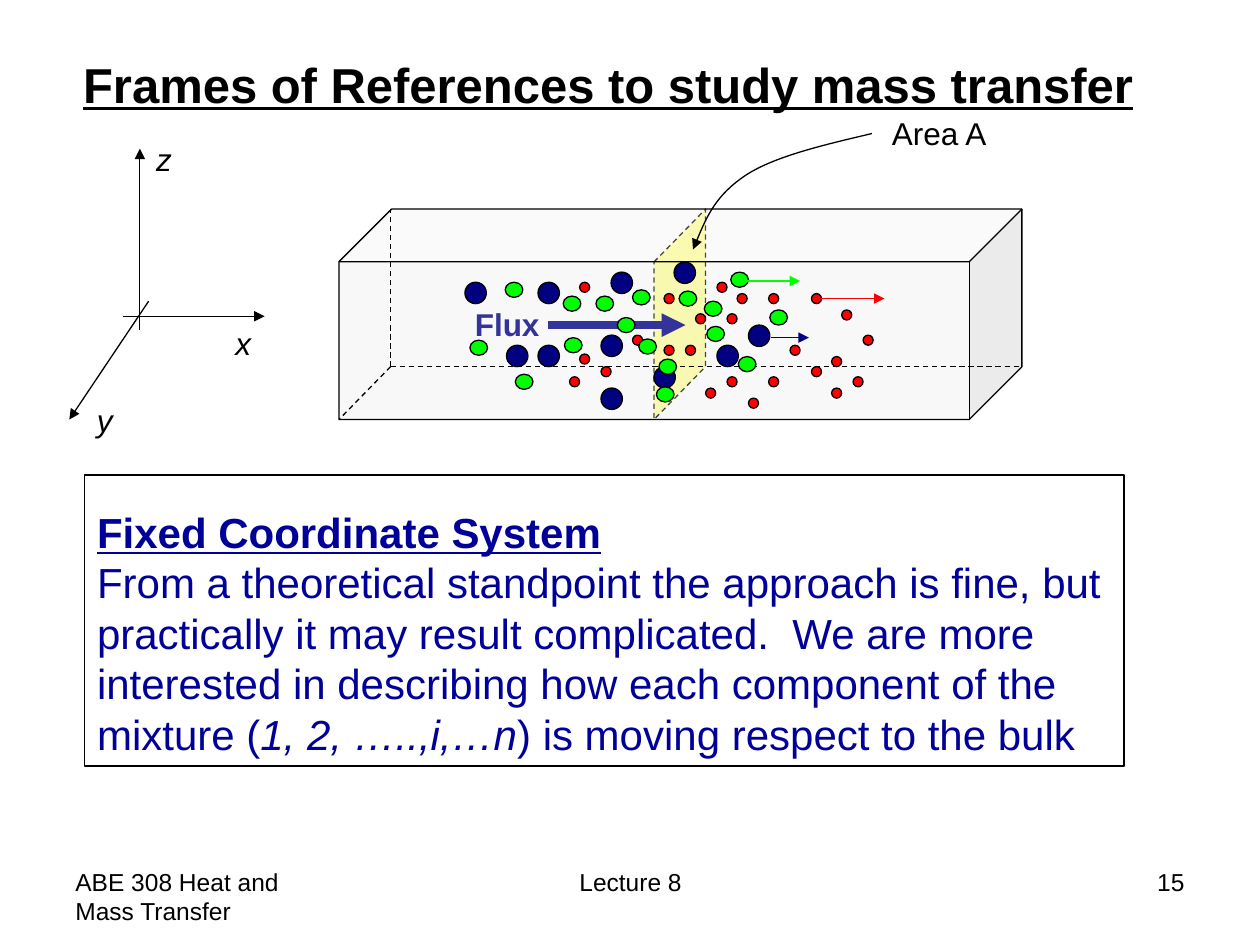
"""Build the lecture slide on frames of reference for mass transfer."""
import dataclasses

import pptx
import pptx.dml.color
import pptx.enum.dml
import pptx.enum.shapes
import pptx.enum.text
import pptx.oxml
import pptx.oxml.ns
import pptx.util

Inches = pptx.util.Inches
Pt = pptx.util.Pt
Align = pptx.enum.text.PP_ALIGN
Preset = pptx.enum.shapes.MSO_SHAPE


@dataclasses.dataclass(frozen=True)
class Theme:
    font: str = "Arial"
    black: str = "000000"
    body: str = "000099"
    flux: str = "333399"
    red: str = "FF0000"
    navy: str = "000080"
    green: str = "00FF00"
    plane: str = "FFFF99"
    duct: str = "EAEAEA"
    title_size: int = 28
    body_size: int = 24
    label_size: int = 18
    footer_size: int = 14
    thin: float = 0.75
    thick: float = 4.5


THEME = Theme()

RED_DOTS = [
    (4.6, 2.81), (4.6, 2.24), (5.27, 2.33), (4.52, 2.99), (5.77, 2.99),
    (5.44, 2.74), (5.27, 2.74), (5.85, 2.33), (4.77, 2.91), (5.02, 2.66),
    (5.69, 2.24), (5.52, 2.49), (5.77, 2.49), (6.27, 2.74), (6.6, 2.83),
    (6.68, 2.46), (6.1, 2.99), (5.94, 3.16), (6.1, 2.33), (6.44, 2.33),
    (6.44, 2.91), (6.6, 3.08), (6.77, 2.99), (6.85, 2.66), (5.6, 3.08),
]
NAVY_DOTS = [
    (4.02, 2.74), (3.69, 2.24), (4.85, 2.16), (4.27, 2.24), (4.27, 2.74), (5.35, 2.08),
    (4.77, 3.08), (4.77, 2.66), (5.94, 2.58), (5.69, 2.74), (5.19, 2.91),
]
GREEN_DOTS = [
    (4.73, 2.35), (4.9, 2.52), (5.07, 2.69), (5.23, 2.85), (4.48, 2.68), (5.02, 2.3),
    (5.59, 2.39), (5.61, 2.59), (5.21, 3.07), (5.39, 2.31), (5.8, 2.16), (5.86, 2.83),
    (4.47, 2.35), (4.09, 2.97), (3.73, 2.7), (4.01, 2.24), (6.11, 2.46),
]
SPECIES = [
    (THEME.red, 0.08, 0.08, RED_DOTS),
    (THEME.navy, 0.17, 0.17, NAVY_DOTS),
    (THEME.green, 0.14, 0.12, GREEN_DOTS),
]


def rgb(color):
    return pptx.dml.color.RGBColor.from_string(color)


def add_child(parent, tag, **attributes):
    child = pptx.oxml.parse_xml(f"<{tag} {pptx.oxml.ns.nsdecls('a')}/>")
    for name, value in attributes.items():
        child.set(name, str(value))
    parent.append(child)
    return child


def style_font(paragraph, size, color=THEME.black, bold=False, italic=False, underline=False):
    font = paragraph.font
    font.name, font.size = THEME.font, Pt(size)
    font.color.rgb = rgb(color)
    font.bold, font.italic, font.underline = bold, italic, underline


def style_line(line, color=THEME.black, width=THEME.thin, dashed=False, arrow=False):
    line.color.rgb = rgb(color)
    line.width = Pt(width)
    if dashed:
        line.dash_style = pptx.enum.dml.MSO_LINE.DASH
    if arrow:
        add_child(line._get_or_add_ln(), "a:tailEnd", type="triangle")


def place(shape, left, top, width, height):
    shape.left, shape.top = Inches(left), Inches(top)
    shape.width, shape.height = Inches(width), Inches(height)


def prepare_frame(shape, wrap):
    frame = shape.text_frame
    frame.word_wrap = wrap
    frame.auto_size = pptx.enum.text.MSO_AUTO_SIZE.NONE
    frame.vertical_anchor = pptx.enum.text.MSO_ANCHOR.TOP
    return frame


def add_label(page, text, bounds, size=THEME.label_size, align=Align.LEFT, wrap=False, **style):
    box = page.shapes.add_textbox(*map(Inches, bounds))
    paragraph = prepare_frame(box, wrap).paragraphs[0]
    paragraph.text, paragraph.alignment = text, align
    style_font(paragraph, size, **style)


def add_line(page, start, end, **style):
    straight = pptx.enum.shapes.MSO_CONNECTOR.STRAIGHT
    connector = page.shapes.add_connector(straight, *map(Inches, start + end))
    style_line(connector.line, **style)
    add_child(connector._element.spPr, "a:effectLst")


def add_solid(page, preset, bounds, color):
    shape = page.shapes.add_shape(preset, *map(Inches, bounds))
    shape.shadow.inherit = False
    shape.fill.solid()
    shape.fill.fore_color.rgb = rgb(color)
    style_line(shape.line)
    return shape


def add_outline(page, points, closed):
    start, *others = [tuple(map(Inches, point)) for point in points]
    builder = page.shapes.build_freeform(*start)
    builder.add_line_segments(others, close=closed)
    shape = builder.convert_to_shape()
    shape.shadow.inherit = False
    return shape


def add_curved_arrow(page, points):
    """Draw a Bezier arrow; points are the start, then two controls and an end per arc."""
    shape = add_outline(page, points, closed=False)
    shape.fill.background()
    style_line(shape.line, arrow=True)
    outline = shape._element.find(".//" + pptx.oxml.ns.qn("a:path"))
    segments = outline.findall(pptx.oxml.ns.qn("a:lnTo"))
    for first in range(0, len(segments), 3):
        arc = add_child(outline, "a:cubicBezTo")
        for segment in segments[first:first + 3]:
            arc.append(segment[0])
            outline.remove(segment)


def fill_title(page):
    title = page.shapes.title
    place(title, 0.56, 0.38, 8.65, 0.57)
    paragraph = prepare_frame(title, wrap=False).paragraphs[0]
    paragraph.text = "Frames of References to study mass transfer"
    paragraph.alignment = Align.LEFT
    style_font(paragraph, THEME.title_size, bold=True, underline=True)


def fill_body(page):
    body = page.placeholders[1]
    place(body, 0.67, 3.77, 8.25, 2.31)
    style_line(body.line)
    frame = prepare_frame(body, wrap=False)
    lines = [
        ["Fixed Coordinate System"],
        ["From a theoretical standpoint the approach is fine, but"],
        ["practically it may result complicated.  We are more"],
        ["interested in describing how each component of the"],
        ["mixture (", "1, 2, …..,i,…n", ") is moving respect to the bulk"],
    ]
    for index, texts in enumerate(lines):
        heading = index == 0
        paragraph = frame.paragraphs[0] if heading else frame.add_paragraph()
        properties = paragraph._p.get_or_add_pPr()
        properties.set("marL", "0")
        properties.set("indent", "0")
        add_child(properties, "a:buNone")
        paragraph.space_before = Pt(0)
        paragraph.line_spacing = 1.5 if heading else 1.0
        style_font(paragraph, THEME.body_size, THEME.body, bold=heading, underline=heading)
        for position, text in enumerate(texts):
            span = paragraph.add_run()
            span.text = text
            if position == 1:
                span.font.italic = True


def draw_axes(page):
    axes = [
        ("z", (1.11, 2.62), (1.11, 1.18), (1.14, 1.06)),
        ("x", (0.98, 2.51), (2.1, 2.51), (1.77, 2.52)),
        ("y", (1.18, 2.39), (0.55, 3.33), (0.67, 3.13)),
    ]
    for name, start, end, corner in axes:
        add_line(page, start, end, arrow=True)
        add_label(page, name, corner + (0.33, 0.4), italic=True)


def draw_duct(page):
    plane = add_outline(page, [(5.19, 2.08), (5.6, 1.66), (5.6, 2.91), (5.19, 3.33)], closed=True)
    plane.fill.solid()
    plane.fill.fore_color.rgb = rgb(THEME.plane)
    style_line(plane.line, dashed=True)
    duct = add_solid(page, Preset.CUBE, (2.69, 1.66, 5.42, 1.67), THEME.duct)
    color = duct._element.spPr.find(".//" + pptx.oxml.ns.qn("a:srgbClr"))
    add_child(color, "a:alpha", val=29000)
    hidden_corner = (3.1, 2.91)
    for end in [(3.1, 1.66), (8.1, 2.91), (2.69, 3.33)]:
        add_line(page, hidden_corner, end, dashed=True)
    add_line(page, (4.35, 2.58), (5.44, 2.58), color=THEME.flux, width=THEME.thick, arrow=True)
    add_label(page, "Flux", (3.67, 2.37, 0.72, 0.4), color=THEME.flux, bold=True)
    add_curved_arrow(page, [(6.92, 1.06), (6.54, 1.15), (6.15, 1.24), (5.92, 1.39),
                            (5.68, 1.55), (5.59, 1.76), (5.5, 1.98)])
    add_label(page, "Area A", (6.98, 0.86, 0.97, 0.4))


def draw_particles(page):
    for color, width, height, corners in SPECIES:
        for corner in corners:
            add_solid(page, Preset.OVAL, corner + (width, height), color)
    add_line(page, (6.51, 2.37), (7.02, 2.37), color=THEME.red, arrow=True)
    add_line(page, (6.12, 2.68), (6.42, 2.68), color=THEME.navy, arrow=True)
    add_line(page, (5.91, 2.23), (6.35, 2.23), color=THEME.green, arrow=True)


def add_footer(page):
    cells = [
        ("ABE 308 Heat and Mass Transfer", 0.5, 2.33, Align.LEFT),
        ("Lecture 8", 3.42, 3.17, Align.CENTER),
        ("15", 7.17, 2.33, Align.RIGHT),
    ]
    for text, left, width, align in cells:
        add_label(page, text, (left, 6.83, width, 0.52), THEME.footer_size, align, wrap=True)


def main():
    deck = pptx.Presentation()
    deck.slide_width, deck.slide_height = Inches(10), Inches(7.5)
    page = deck.slides.add_slide(deck.slide_layouts[1])
    fill_title(page)
    fill_body(page)
    draw_axes(page)
    draw_duct(page)
    draw_particles(page)
    add_footer(page)
    deck.save("out.pptx")


if __name__ == "__main__":
    main()
